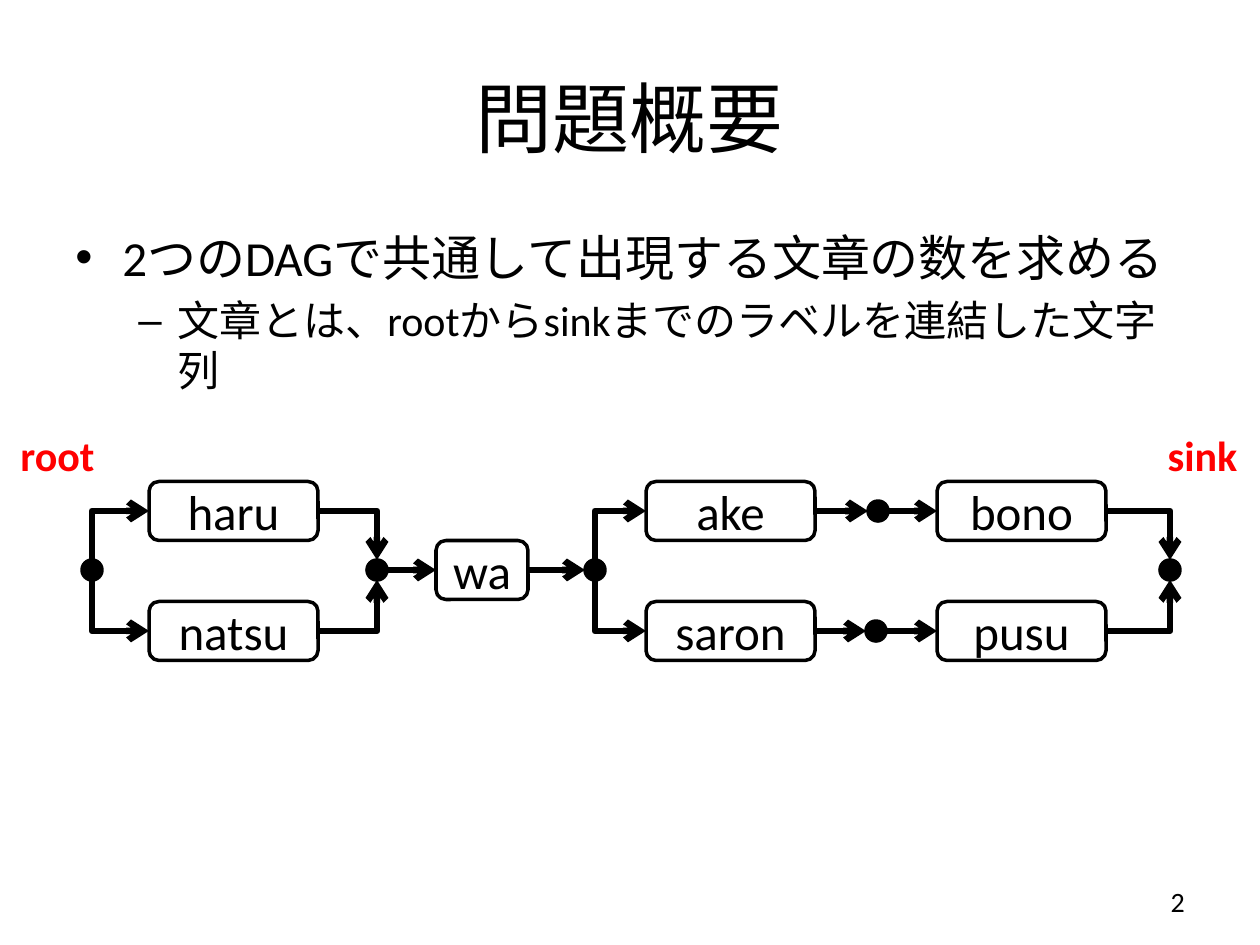
from lxml.etree import SubElement as Sub
from pptx import Presentation
from pptx.dml.color import RGBColor
from pptx.enum.shapes import MSO_CONNECTOR as Link, MSO_SHAPE as Kind
from pptx.enum.text import MSO_ANCHOR as Anchor, PP_ALIGN as Align
from pptx.oxml.ns import qn
from pptx.util import Emu, Pt

BLACK, RED = "000000", "FF0000"
ROWS = 30, 89, 150
BOX_H, DOT = 59, 20


def px(n):
    """Turn pixels into EMU."""
    return Emu(round(n * 914400 / 126))


def color(code):
    """Turn a hex string into a colour."""
    return RGBColor.from_string(code)


def style(para, size, align=Align.LEFT, code=BLACK, bold=False):
    """Set the font and alignment of a paragraph."""
    para.alignment = align
    font = para.font
    font.name, font.size, font.bold = "Calibri", Pt(size), bold
    font.color.rgb = color(code)


def label(slide, box, text, size, align=Align.CENTER, anchor=Anchor.MIDDLE, **look):
    """Add a wrapped text box with one paragraph."""
    frame = slide.shapes.add_textbox(*map(px, box)).text_frame
    frame.word_wrap, frame.vertical_anchor = True, anchor
    frame.text = text
    style(frame.paragraphs[0], size, align, **look)
    return frame


def bullet(para, mark, left, hang):
    """Give a paragraph a bullet and a hanging indent."""
    props = para._p.get_or_add_pPr()
    props.set("marL", str(px(left)))
    props.set("indent", str(-px(hang)))
    Sub(props, qn("a:buFont")).set("typeface", "Arial")
    Sub(props, qn("a:buChar")).set("char", mark)


def body(slide, box):
    """Add the bulleted explanation."""
    frame = label(slide, box, "2つのDAGで共通して出現する文章の数を求める", 28,
                  Align.LEFT, Anchor.TOP)
    first, second = frame.paragraphs[0], frame.add_paragraph()
    second.text = "文章とは、rootからsinkまでのラベルを連結した文字列"
    second.level = 1
    style(second, 24)
    first.space_before, second.space_before = Pt(5.6), Pt(4.8)
    bullet(first, "•", 47, 47)
    bullet(second, "–", 102, 39)


def shape(slide, kind, x, y, w, h):
    """Add an outlined shape without a shadow."""
    item = slide.shapes.add_shape(kind, *map(px, (x, y, w, h)))
    item.shadow.inherit = False
    item.line.color.rgb, item.line.width = color(BLACK), Pt(2)
    return item


def word(slide, x, mid, w, text):
    """Add a rounded box with a word, centred on a row."""
    item = shape(slide, Kind.ROUNDED_RECTANGLE, x, mid - BOX_H / 2, w, BOX_H)
    item.fill.background()
    frame = item.text_frame
    frame.vertical_anchor = Anchor.MIDDLE
    frame.text = text
    style(frame.paragraphs[0], 28, Align.CENTER)


def dot(slide, x, y):
    """Add a black node centred on a point."""
    item = shape(slide, Kind.OVAL, x - DOT / 2, y - DOT / 2, DOT, DOT)
    item.fill.solid()
    item.fill.fore_color.rgb = color(BLACK)


def arrow(slide, start, end, bent=False, tip="tailEnd"):
    """Add a straight or one-bend arrow."""
    kind = Link.ELBOW if bent else Link.STRAIGHT
    item = slide.shapes.add_connector(kind, *map(px, (*start, *end)))
    item.line.color.rgb, item.line.width = color(BLACK), Pt(3.75)
    props = item._element.spPr
    if bent:
        props.find(qn("a:prstGeom")).set("prst", "bentConnector2")
    Sub(props.find(qn("a:ln")), qn("a:" + tip)).set("type", "arrow")
    Sub(props, qn("a:effectLst"))


def graph(slide, x, y):
    """Draw the word graph from root to sink."""
    top, mid, low = (y + row for row in ROWS)
    root, join, fork, sink = (x + n for n in (10, 295, 513, 1088))
    wide, r = 169, DOT / 2
    haru, wa, ake, bono = (x + n for n in (67, 354, 564, 855))
    words = ((haru, "haru", "natsu"), (ake, "ake", "saron"), (bono, "bono", "pusu"))
    for left, *pair in words:
        for row, text in zip((top, low), pair):
            word(slide, left, row, wide, text)
    word(slide, wa, mid, 92, "wa")
    for node in (root, join, fork, sink):
        dot(slide, node, mid)
    for row, side, node in ((top, -r, x + 796), (low, r, x + 794)):
        dot(slide, node, row)
        arrow(slide, (ake + wide, row), (node - r, row))
        arrow(slide, (node + r, row), (bono, row))
        for left, node in ((haru, root), (ake, fork)):
            arrow(slide, (left, row), (node, mid + side), True, "headEnd")
        for left, node in ((haru, join), (bono, sink)):
            arrow(slide, (left + wide, row), (node, mid + side), True)
    arrow(slide, (join + r, mid), (wa, mid))
    arrow(slide, (wa + 92, mid), (fork - r, mid))


def main():
    """Build and save the slide."""
    deck = Presentation()
    deck.slide_width, deck.slide_height = px(1260), px(945)
    slide = deck.slides.add_slide(deck.slide_layouts[6])
    label(slide, (63, 38, 1134, 158), "問題概要", 44)
    body(slide, (63, 221, 1134, 203))
    label(slide, (903, 876, 294, 50), "2", 16, Align.RIGHT)
    graph(slide, 82, 481)
    for left, text in ((0, "root"), (1145, "sink")):
        label(slide, (left, 423, 115, 63), text, 24, anchor=Anchor.TOP, code=RED, bold=True)
    deck.save("out.pptx")


main()
